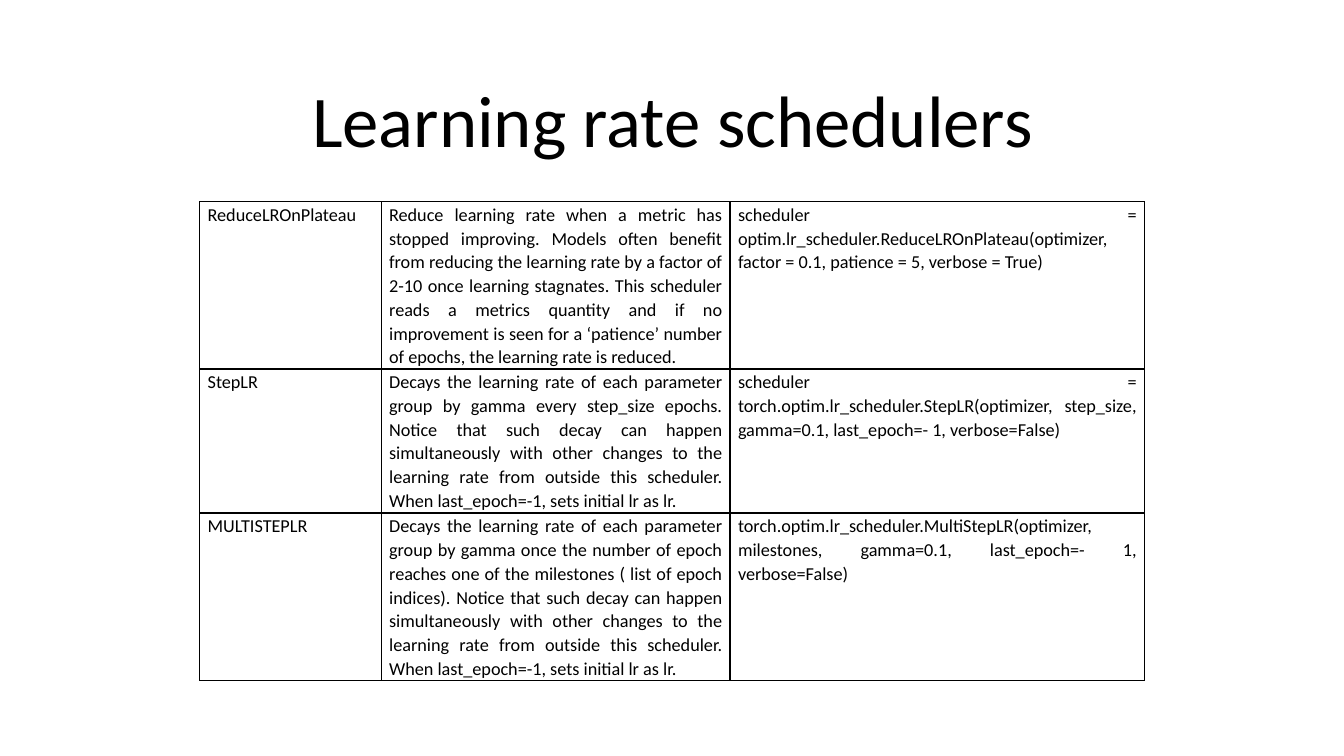
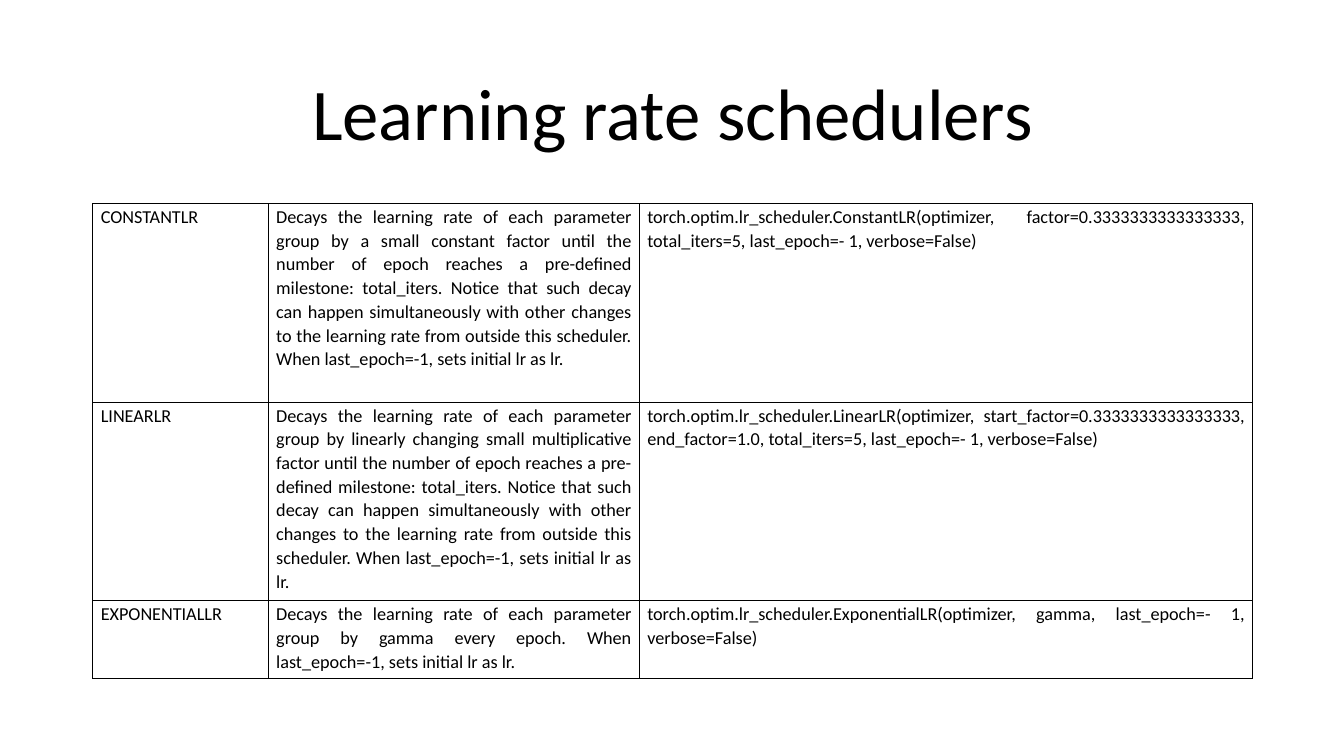
from lxml.etree import SubElement
from pptx import Presentation
from pptx.dml.color import RGBColor
from pptx.enum.text import MSO_ANCHOR, PP_ALIGN
from pptx.oxml.ns import qn
from pptx.util import Inches, Pt

# Content
TITLE = "Learning rate schedulers"
DECAYS = "Decays the learning rate of each parameter group by"
INITIAL = "When last_epoch=-1, sets initial lr as lr."
NOTICE = ("Notice that such decay can happen simultaneously with other changes "
          "to the learning rate from outside this scheduler. " + INITIAL)

SLIDES = [
    {
        "title_top": 0.61,
        "table_at": (1.98, 2.0),
        "columns": (1.8, 3.46, 4.11),
        "rows": (1.66, 1.43, 1.66),
        "schedulers": [
            ("ReduceLROnPlateau",
             "Reduce learning rate when a metric has stopped improving. Models often "
             "benefit from reducing the learning rate by a factor of 2-10 once learning "
             "stagnates. This scheduler reads a metrics quantity and if no improvement "
             "is seen for a ‘patience’ number of epochs, the learning rate is reduced.",
             "scheduler = optim.lr_scheduler.ReduceLROnPlateau(optimizer, "
             "factor = 0.1, patience = 5, verbose = True)"),
            ("StepLR",
             f"{DECAYS} gamma every step_size epochs. {NOTICE}",
             "scheduler = torch.optim.lr_scheduler.StepLR(optimizer, step_size, "
             "gamma=0.1, last_epoch=- 1, verbose=False)"),
            ("MULTISTEPLR",
             f"{DECAYS} gamma once the number of epoch reaches one of the milestones "
             f"( list of epoch indices). {NOTICE}",
             "torch.optim.lr_scheduler.MultiStepLR(optimizer, milestones, "
             "gamma=0.1, last_epoch=- 1, verbose=False)"),
        ],
    },
    {
        "title_top": 0.54,
        "table_at": (0.92, 2.02),
        "columns": (1.74, 3.68, 6.08),
        "rows": (1.97, 1.97, 0.77),
        "schedulers": [
            ("CONSTANTLR",
             f"{DECAYS} a small constant factor until the number of epoch reaches "
             f"a pre-defined milestone: total_iters. {NOTICE}",
             "torch.optim.lr_scheduler.ConstantLR(optimizer, factor=0.3333333333333333, "
             "total_iters=5, last_epoch=- 1, verbose=False)"),
            ("LINEARLR",
             f"{DECAYS} linearly changing small multiplicative factor until the number "
             f"of epoch reaches a pre-defined milestone: total_iters. {NOTICE}",
             "torch.optim.lr_scheduler.LinearLR(optimizer, "
             "start_factor=0.3333333333333333, end_factor=1.0, total_iters=5, "
             "last_epoch=- 1, verbose=False)"),
            ("EXPONENTIALLR",
             f"{DECAYS} gamma every epoch. {INITIAL}",
             "torch.optim.lr_scheduler.ExponentialLR(optimizer, gamma, "
             "last_epoch=- 1, verbose=False)"),
        ],
    },
]

# Shared style
BLACK = RGBColor(0x00, 0x00, 0x00)
FONT = "Calibri"
TITLE_LEFT, TITLE_WIDTH, TITLE_HEIGHT = 0.92, 11.5, 1.24
BORDER = Pt(1)


def write(frame, text, size, align, spacing):
    frame.word_wrap = True
    paragraph = frame.paragraphs[0]
    paragraph.text = text
    paragraph.alignment = align
    paragraph.line_spacing = spacing
    paragraph.font.name = FONT
    paragraph.font.size = Pt(size)
    paragraph.font.color.rgb = BLACK


def add_title(slide, top):
    title = slide.shapes.add_textbox(Inches(TITLE_LEFT), Inches(top),
                                     Inches(TITLE_WIDTH), Inches(TITLE_HEIGHT))
    title.text_frame.vertical_anchor = MSO_ANCHOR.MIDDLE
    write(title.text_frame, TITLE, 52, PP_ALIGN.CENTER, 0.9)


def outline(cell):
    properties = cell._tc.get_or_add_tcPr()
    for side in ("a:lnL", "a:lnR", "a:lnT", "a:lnB"):
        line = SubElement(properties, qn(side), w=str(BORDER))
        fill = SubElement(line, qn("a:solidFill"))
        SubElement(fill, qn("a:srgbClr"), val=str(BLACK))


def style_cell(cell, text):
    cell.margin_left = cell.margin_right = Inches(0.08)
    cell.margin_top, cell.margin_bottom = Inches(0.01), 0
    outline(cell)
    cell.fill.background()
    write(cell.text_frame, text, 13, PP_ALIGN.JUSTIFY, 1.07)


def add_schedulers(slide, content):
    columns, rows = content["columns"], content["rows"]
    left, top = content["table_at"]
    table = slide.shapes.add_table(
        len(rows), len(columns), Inches(left), Inches(top),
        Inches(sum(columns)), Inches(sum(rows))).table
    table.first_row = table.horz_banding = False
    for column, width in zip(table.columns, columns):
        column.width = Inches(width)
    for row, height, scheduler in zip(table.rows, rows, content["schedulers"]):
        row.height = Inches(height)
        for cell, text in zip(row.cells, scheduler):
            style_cell(cell, text)


def main():
    deck = Presentation()
    deck.slide_width, deck.slide_height = Inches(13.33), Inches(7.5)
    blank = deck.slide_layouts[6]
    for content in SLIDES:
        slide = deck.slides.add_slide(blank)
        add_title(slide, content["title_top"])
        add_schedulers(slide, content)
    deck.save("out.pptx")


if __name__ == "__main__":
    main()
